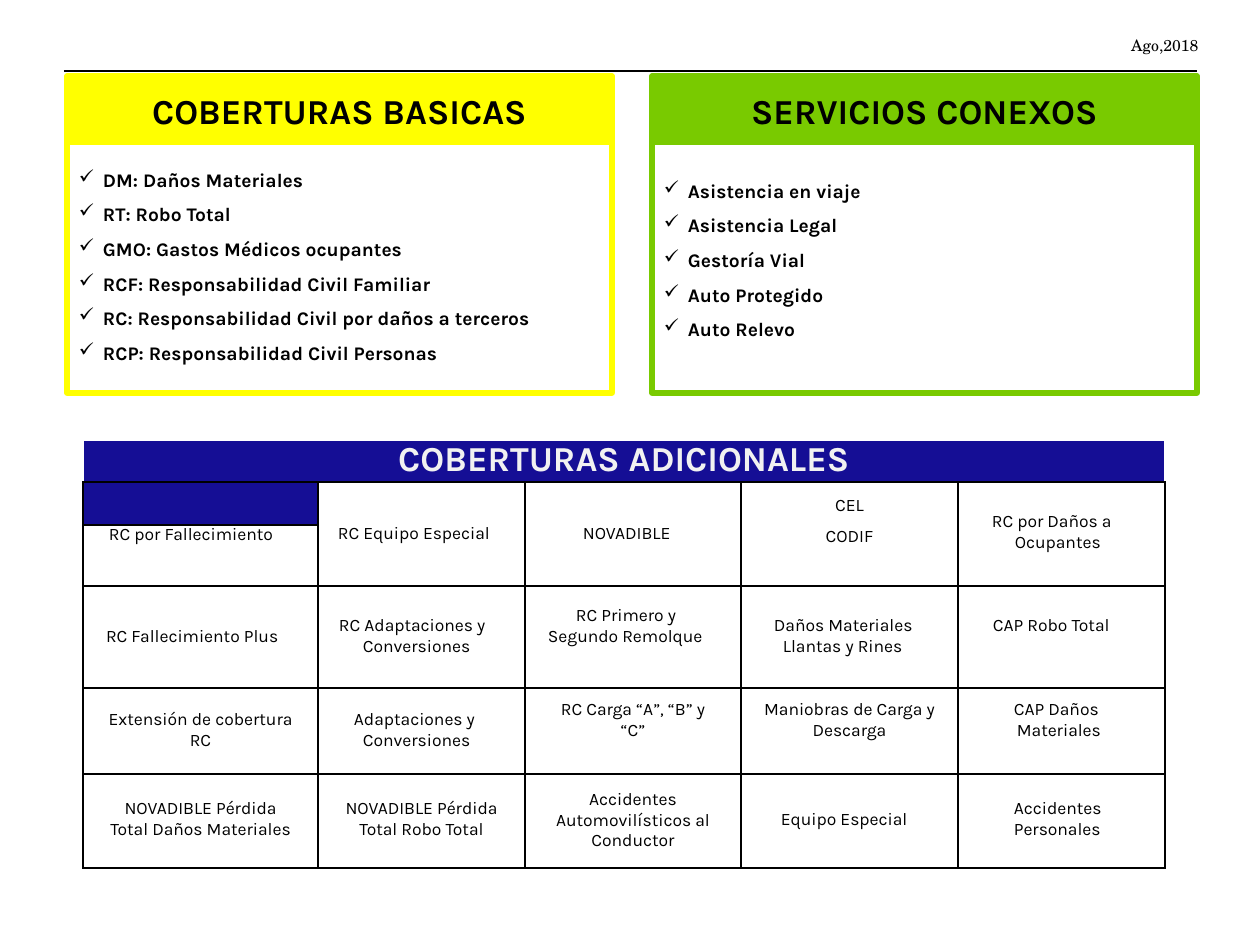
import pptx
import pptx.util
import pptx.dml.color
import pptx.enum.shapes
import pptx.enum.text
import pptx.oxml.ns
import lxml.etree

RGB = pptx.dml.color.RGBColor
BLACK = RGB(0x00, 0x00, 0x00)
WHITE = RGB(0xF1, 0xF1, 0xF1)
YELLOW = RGB(0xFF, 0xFF, 0x00)
GREEN = RGB(0x79, 0xCA, 0x00)
NAVY = RGB(0x15, 0x0E, 0x95)
SCALE = 914400 / 126
CENTER = pptx.enum.text.PP_ALIGN.CENTER
LEFT = pptx.enum.text.PP_ALIGN.LEFT
RECT = pptx.enum.shapes.MSO_SHAPE.RECTANGLE
Pt = pptx.util.Pt
qn = pptx.oxml.ns.qn

COLS = [235, 207, 216, 217, 207]
ROWS = [42, 43, 61, 102, 86, 94]


def px(num):
    return pptx.util.Emu(round(num * SCALE))


def mid(*lines):
    return [(None, 0, line) for line in lines]


CELLS = [
    [
        None,
        (42, [(20, 0, "RC Equipo Especial")]),
        (42, [(58, 0, "NOVADIBLE")]),
        (14, mid("CEL", "CODIF")),
        (30, [(57, -23, "RC por Daños a Ocupantes")]),
    ],
    [(0, [(26, 0, "RC por Fallecimiento")]), None, None, None, None],
    [
        (41, [(23, 0, "RC Fallecimiento Plus")]),
        (30, [(45, -24, "RC Adaptaciones y Conversiones")]),
        (20, [(23, 28, "RC Primero y Segundo Remolque")]),
        (30, [(42, -9, "Daños Materiales Llantas y Rines")]),
        (30, [(35, 0, "CAP Robo Total")]),
    ],
    [
        (22, mid("Extensión de cobertura", "RC")),
        (22, [(36, 0, "Adaptaciones y"), (45, 0, "Conversiones")]),
        (12, mid("RC Carga “A”, “B” y", "“C”")),
        (12, mid("Maniobras de Carga y", "Descarga")),
        (12, [(56, 0, "CAP Daños"), (59, 0, "Materiales")]),
    ],
    [
        (25, mid("NOVADIBLE Pérdida", "Total Daños Materiales")),
        (25, mid("NOVADIBLE Pérdida", "Total Robo Total")),
        (16, mid("Accidentes Automovilísticos al Conductor")),
        (36, [(40, 0, "Equipo Especial")]),
        (25, [(56, 0, "Accidentes"), (56, 0, "Personales")]),
    ],
]

BASIC = [
    "DM: Daños Materiales",
    "RT: Robo Total",
    "GMO: Gastos Médicos ocupantes",
    "RCF: Responsabilidad Civil Familiar",
    "RC: Responsabilidad Civil por daños a terceros",
    "RCP: Responsabilidad Civil Personas",
]
EXTRA = [
    "Asistencia en viaje",
    "Asistencia Legal",
    "Gestoría Vial",
    "Auto Protegido",
    "Auto Relevo",
]


class Page:
    face = "Karla"

    def __init__(self, deck):
        self.slide = deck.slides.add_slide(deck.slide_layouts[6])
        self.shapes = self.slide.shapes

    def style(self, para, size, bold=False, color=BLACK, face=None):
        font = para.font
        font.name = face or self.face
        font.size = Pt(size)
        font.bold = bold
        font.color.rgb = color

    def inset(self, part, top=0, side=0):
        part.margin_top = px(top)
        part.margin_left = part.margin_right = px(side)
        part.margin_bottom = 0

    def indent(self, para, left, first):
        props = para._p.get_or_add_pPr()
        props.set("marL", str(px(left)))
        props.set("indent", str(px(first)))
        return props

    def paras(self, frame, count):
        return [frame.paragraphs[0]] + [frame.add_paragraph() for _ in range(count - 1)]

    def rule(self, left, top, right):
        line = self.shapes.add_connector(
            pptx.enum.shapes.MSO_CONNECTOR.STRAIGHT, px(left), px(top), px(right), px(top))
        line.line.color.rgb = BLACK
        line.line.width = Pt(0.96)
        lxml.etree.SubElement(line._element.spPr, qn("a:effectLst"))

    def box(self, left, top, width, height, fill=None, edge=None):
        box = self.shapes.add_shape(RECT, px(left), px(top), px(width), px(height))
        box.shadow.inherit = False
        if fill is None:
            box.fill.background()
        else:
            box.fill.solid()
            box.fill.fore_color.rgb = fill
        if edge is None:
            box.line.fill.background()
        else:
            box.line.color.rgb = edge
            box.line.width = Pt(3)
        return box

    def title(self, left, top, width, height, fill, text):
        frame = self.box(left, top, width, height, fill).text_frame
        frame.vertical_anchor = pptx.enum.text.MSO_ANCHOR.TOP
        frame.word_wrap = True
        self.inset(frame, 89 - top)
        para = frame.paragraphs[0]
        para.text = text
        para.alignment = CENTER
        self.style(para, 20, True)

    def text(self, left, top, width, height, wrap=True):
        frame = self.shapes.add_textbox(px(left), px(top), px(width), px(height)).text_frame
        frame.word_wrap = wrap
        self.inset(frame)
        return frame

    def date(self, left, top, width, height, text):
        para = self.text(left, top, width, height, False).paragraphs[0]
        para.text = text
        self.style(para, 9, face="TeX Gyre Schola")

    def checks(self, left, top, width, height, items):
        frame = self.text(left, top, width, height)
        self.inset(frame, 14)
        for spot, (para, item) in enumerate(zip(self.paras(frame, len(items)), items)):
            para.text = item
            self.style(para, 11, True)
            para.space_before = Pt(6.6 if spot else 0)
            props = self.indent(para, 34, -24)
            lxml.etree.SubElement(props, qn("a:buChar")).set("char", "✓")
            props.append(props.find(qn("a:defRPr")))

    def edges(self, cell, sides):
        props = cell._tc.get_or_add_tcPr()
        for side in sides:
            line = lxml.etree.SubElement(props, qn("a:ln" + side), w=str(Pt(1)))
            fill = lxml.etree.SubElement(line, qn("a:solidFill"))
            lxml.etree.SubElement(fill, qn("a:srgbClr"), val=str(BLACK))

    def paint(self, cell, color):
        cell.fill.solid()
        cell.fill.fore_color.rgb = color

    def entry(self, cell, top, lines):
        center = lines[0][0] is None
        self.inset(cell, top, 12 if center else 0)
        frame = cell.text_frame
        for spot, (para, line) in enumerate(zip(self.paras(frame, len(lines)), lines)):
            left, first, para.text = line
            para.alignment = CENTER if center else LEFT
            self.style(para, 10)
            if not center:
                self.indent(para, left, first)
            if spot and para.text == "CODIF":
                para.space_before = Pt(6)

    def grid(self, left, top, head):
        grid = self.shapes.add_table(
            len(ROWS), len(COLS), px(left), px(top), px(sum(COLS)), px(sum(ROWS))).table
        grid.first_row = grid.horz_banding = False
        for col, width in zip(grid.columns, COLS):
            col.width = px(width)
        for row, height in zip(grid.rows, ROWS):
            row.height = px(height)
        for r in range(len(ROWS)):
            for c in range(len(COLS)):
                cell = grid.cell(r, c)
                self.inset(cell)
                self.style(cell.text_frame.paragraphs[0], 10)
                self.edges(cell, "B" if r == 0 else "LRB" if r == 2 and c else "LRTB")
                cell.fill.background()
                item = CELLS[r - 1][c] if r else None
                if item:
                    self.entry(cell, *item)
        first = grid.cell(0, 0)
        first.merge(grid.cell(0, len(COLS) - 1))
        for c in range(1, len(COLS)):
            grid.cell(1, c).merge(grid.cell(2, c))
        for cell in (first, grid.cell(1, 0)):
            self.paint(cell, NAVY)
        para = first.text_frame.paragraphs[0]
        para.text = head
        para.alignment = CENTER
        para.line_spacing = Pt(23.2)
        self.style(para, 20, True, WHITE)


def main():
    deck = pptx.Presentation()
    deck.slide_width, deck.slide_height = px(1260), px(945)
    page = Page(deck)
    page.rule(64, 71, 1197)
    page.date(1131, 36, 69, 23, "Ago,2018")
    page.grid(83, 440, "COBERTURAS ADICIONALES")
    for left, color, top, start, head, items in (
        (67, YELLOW, 78, 154, "COBERTURAS BASICAS", BASIC),
        (652, GREEN, 73, 165, "SERVICIOS CONEXOS", EXTRA),
    ):
        page.box(left, 76, 545, 317, edge=color)
        page.checks(left + 2, start, 541, 212, items)
        page.title(left + 2, top, 541, 145 - top, color, head)
    deck.save("out.pptx")


if __name__ == "__main__":
    main()
